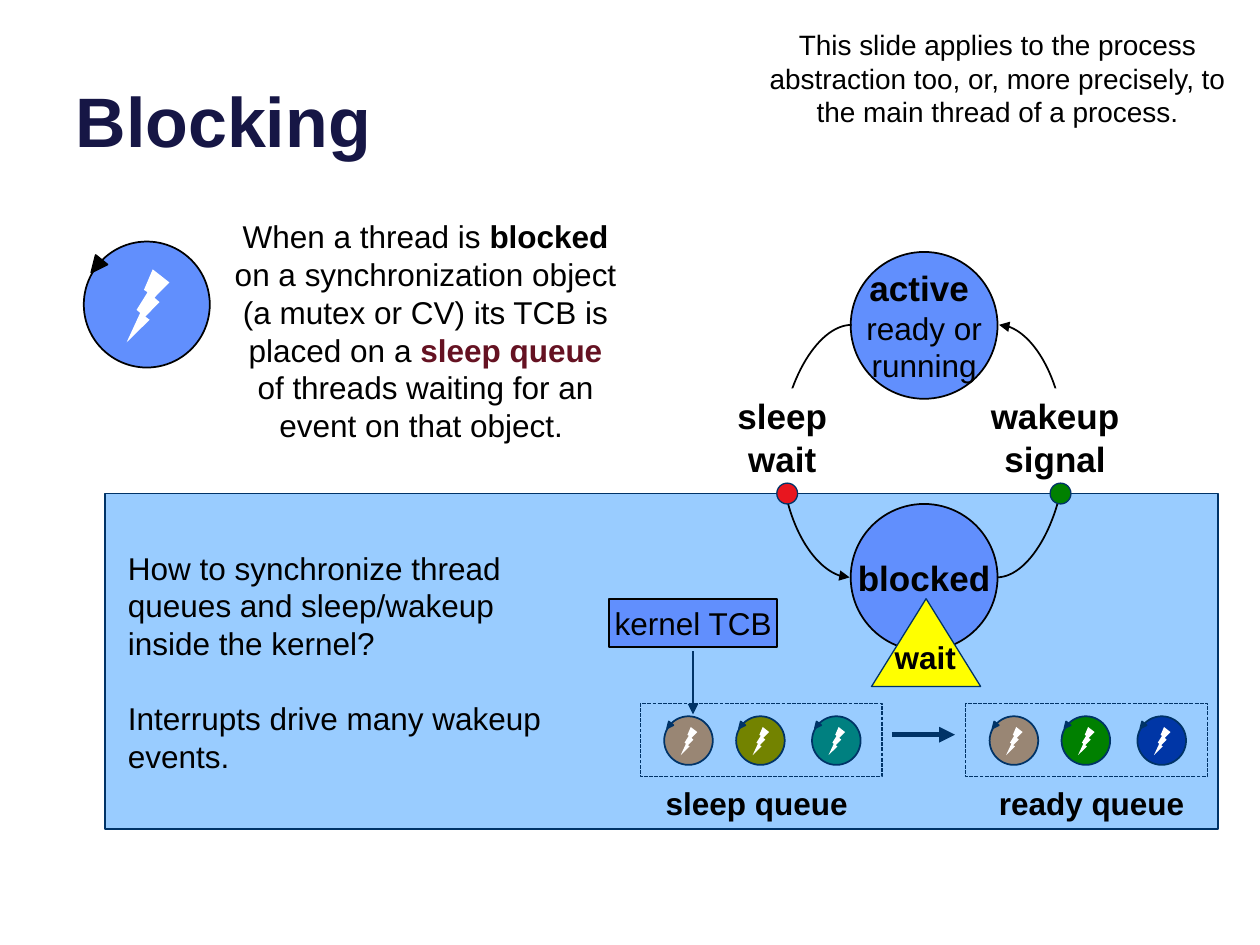
from lxml.etree import SubElement
from pptx import Presentation
from pptx.dml.color import RGBColor
from pptx.enum.dml import MSO_LINE
from pptx.enum.shapes import MSO_CONNECTOR, MSO_SHAPE
from pptx.enum.text import MSO_ANCHOR, MSO_AUTO_SIZE, PP_ALIGN
from pptx.oxml.ns import qn
from pptx.util import Cm, Pt

COLORS = {
    "black": "000000", "white": "FFFFFF", "ink": "161645", "navy": "003367",
    "blue": "618FFD", "sky": "99CCFF", "yellow": "FFFF00", "red": "E8161F",
    "green": "008000", "wine": "651222", "taupe": "998674", "olive": "738300",
    "teal": "008080", "royal": "0036A6",
}


def color(name):
    return RGBColor.from_string(COLORS[name])


def write(frame, *paras, size=18, bold=False, ink="black", align=PP_ALIGN.CENTER,
          anchor=MSO_ANCHOR.MIDDLE, wrap=True, gap=0):
    """Fill a frame with paragraphs, each a string or a list of (text, format) runs."""
    frame.word_wrap = wrap
    frame.auto_size = MSO_AUTO_SIZE.NONE
    frame.vertical_anchor = anchor
    for i, runs in enumerate(paras):
        para = frame.add_paragraph() if i else frame.paragraphs[0]
        para.alignment = align
        para.space_before = Pt(gap if i else 0)
        for text, own in [(runs, {})] if isinstance(runs, str) else runs:
            run = para.add_run()
            run.text = text
            run.font.name = "Arial"
            run.font.size = Pt(own.get("size", size))
            run.font.bold = own.get("bold", bold)
            run.font.color.rgb = color(own.get("ink", ink))


class Board:
    def __init__(self, slide, edge="navy"):
        self.slide = slide
        self.shapes = slide.shapes
        self.edge = edge

    def title(self, text, *box):
        name = self.shapes.title
        name.left, name.top, name.width, name.height = map(Cm, box)
        write(name.text_frame, text, size=40, bold=True, ink="ink",
              align=PP_ALIGN.LEFT, anchor=MSO_ANCHOR.BOTTOM)

    def text(self, box, *paras, **style):
        write(self.shapes.add_textbox(*map(Cm, box)).text_frame, *paras, **style)

    def shape(self, kind, *box, fill=None, edge=None, width=1, dash=None):
        item = self.shapes.add_shape(kind, *map(Cm, box))
        item.shadow.inherit = False
        if fill:
            item.fill.solid()
            item.fill.fore_color.rgb = color(fill)
        else:
            item.fill.background()
        if edge:
            item.line.color.rgb = color(edge)
            item.line.width = Pt(width)
            item.line.dash_style = dash
        else:
            item.line.fill.background()
        return item

    def thread(self, x, y, size, fill, edge=None):
        edge = edge or self.edge
        disc = self.shape(MSO_SHAPE.OVAL, x, y, size, size, fill=fill, edge=edge)
        bolt = self.shape(MSO_SHAPE.LIGHTNING_BOLT, x + 0.34 * size, y + 0.22 * size,
                          0.34 * size, 0.58 * size, fill="white")
        bolt.element.spPr.get_or_add_xfrm().set("flipH", "1")
        tip = self.shape(MSO_SHAPE.ISOSCELES_TRIANGLE, x + 0.04 * size, y + 0.13 * size,
                         0.12 * size, 0.13 * size, fill=edge, edge=edge)
        tip.rotation = 219
        self.shapes.add_group_shape([disc, bolt, tip])

    def arrow(self, x1, y1, x2, y2, edge=None, width=1, bulge=None):
        kind = MSO_CONNECTOR.CURVE if bulge else MSO_CONNECTOR.STRAIGHT
        link = self.shapes.add_connector(kind, *map(Cm, (x1, y1, x2, y2)))
        link.line.color.rgb = color(edge or self.edge)
        link.line.width = Pt(width)
        SubElement(link.line._get_or_add_ln(), qn("a:tailEnd"), type="triangle")
        props = link.element.spPr
        SubElement(props, qn("a:effectLst"))
        if bulge:
            bend = round(bulge / (x2 - x1) * 100000)
            guides = props.find(qn("a:prstGeom")).get_or_add_avLst()
            SubElement(guides, qn("a:gd"), name="adj1", fmla=f"val {bend}")

    def queue(self, x, label, start, fills):
        for step, fill in zip((0.48, 1.93, 3.46), fills):
            self.thread(x + step, 14.44, 0.98, fill)
        self.shape(MSO_SHAPE.RECTANGLE, x, 14.18, 4.87, 1.48,
                   edge=self.edge, width=0.75, dash=MSO_LINE.SQUARE_DOT)
        self.text((start, 15.67, 5.51, 1.02), label, bold=True)


def main():
    """Build the slide on blocking threads."""
    deck = Presentation()
    deck.slide_width, deck.slide_height = Cm(25.4), Cm(19.05)
    board = Board(deck.slides.add_slide(deck.slide_layouts[5]))
    board.title("Blocking", 1.27, -0.94, 22.86, 4.32)
    board.thread(1.69, 4.87, 2.54, "blue", edge="black")
    board.shape(MSO_SHAPE.FLOWCHART_PROCESS, 2.12, 9.95, 22.44, 6.77,
                fill="sky", edge="navy")
    tcb = board.shape(MSO_SHAPE.RECTANGLE, 12.28, 12.07, 3.39, 0.98,
                      fill="blue", edge="black")
    write(tcb.text_frame, "kernel TCB", wrap=False)

    head = {"size": 20, "bold": True}
    states = ((5.08, ([("active ", head)], "ready or", "running")),
              (10.16, ([("blocked", head)],)))
    for y, paras in states:
        disc = board.shape(MSO_SHAPE.OVAL, 17.15, y, 2.96, 2.96, fill="blue", edge="black")
        write(disc.text_frame, *paras, wrap=False)
    board.shape(MSO_SHAPE.ISOSCELES_TRIANGLE, 17.57, 12.07, 2.2, 1.77,
                fill="yellow", edge="navy", width=0.75)
    board.text((17.78, 12.73, 1.75, 1.02), "wait", bold=True, wrap=False)

    board.arrow(20.1, 11.64, 20.14, 6.55, edge="black", bulge=1.37)
    board.arrow(17.17, 6.55, 17.13, 11.64, edge="black", bulge=-1.42)
    moves = ((13.97, 15.66, "red", ("sleep", "wait")),
             (19.47, 21.17, "green", ("wakeup", "signal")))
    for x, dot, fill, words in moves:
        label = board.shape(MSO_SHAPE.RECTANGLE, x, 7.83, 3.6, 1.96, fill="white")
        write(label.text_frame, *words, **head)
        board.shape(MSO_SHAPE.OVAL, dot, 9.74, 0.42, 0.42,
                    fill=fill, edge="navy", width=0.75)

    board.text((4.45, 4.23, 8.26, 4.87), [
        ("When a thread is ", {}), ("blocked", {"bold": True}),
        (" on a synchronization object (a mutex or CV) its TCB is placed on a ", {}),
        ("sleep queue", {"bold": True, "ink": "wine"}),
        (" of threads waiting for an event on that object. ", {})])
    board.text((15.24, 0.42, 9.74, 2.31),
               "This slide applies to the process abstraction too, or, more precisely, "
               "to the main thread of a process.", size=16)
    board.text((2.33, 10.9, 9.53, 4.87),
               "How to synchronize thread queues and sleep/wakeup inside the kernel?",
               "Interrupts drive many wakeup events.", align=PP_ALIGN.LEFT, gap=21)
    board.queue(12.91, "sleep queue", 12.5, ("taupe", "olive", "teal"))
    board.queue(19.47, "ready queue", 19.25, ("taupe", "green", "royal"))
    board.arrow(13.97, 13.13, 13.97, 14.4, width=1.5)
    board.arrow(17.98, 14.81, 19.25, 14.81, width=3)
    deck.save("out.pptx")


if __name__ == "__main__":
    main()
